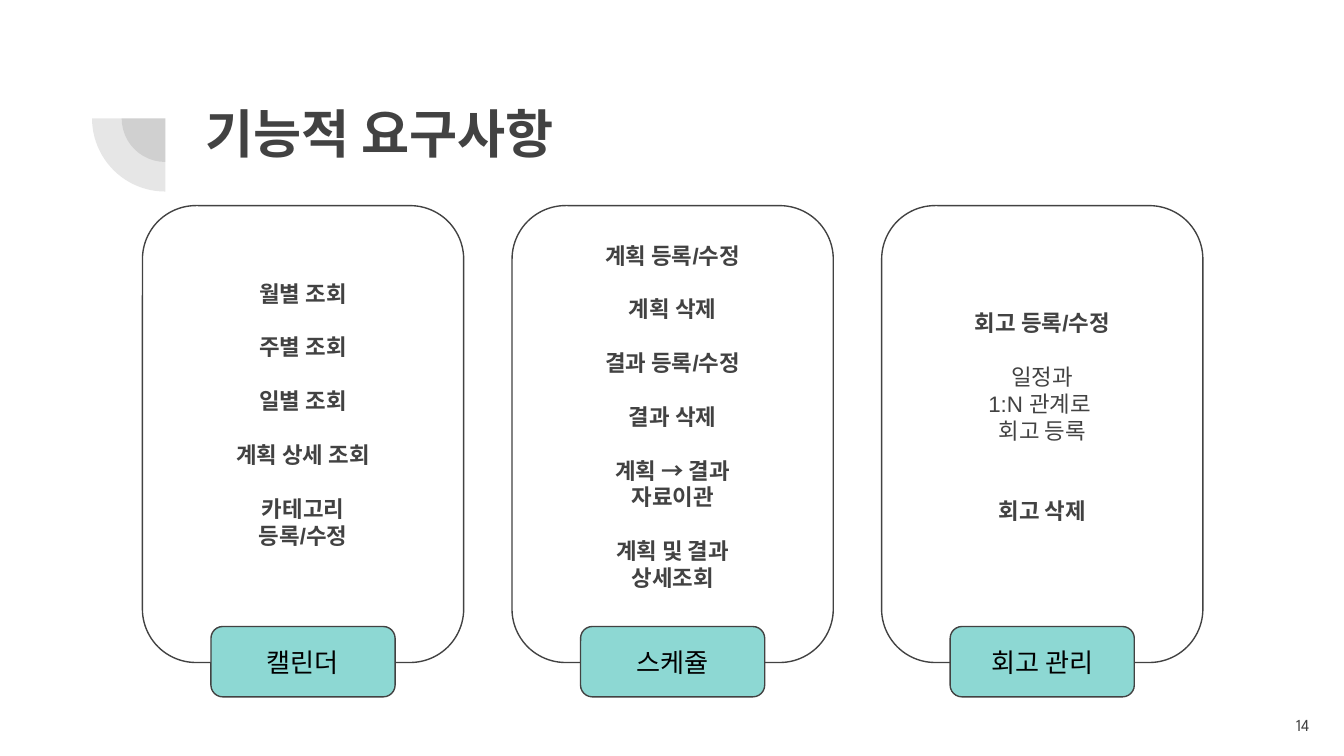
from dataclasses import dataclass
from typing import Optional

from lxml.etree import SubElement
from pptx import Presentation
from pptx.dml.color import RGBColor
from pptx.enum.shapes import MSO_SHAPE as Shp
from pptx.enum.text import MSO_ANCHOR as Anchor, PP_ALIGN as Align
from pptx.oxml.ns import qn
from pptx.util import Inches, Pt

DARK = RGBColor(0x42, 0x42, 0x42)
TEAL = RGBColor(0x8D, 0xD8, 0xD3)
BLACK = RGBColor(0, 0, 0)

WIDTH = Inches(10)
HEIGHT = WIDTH * 9 // 16
INSET = Inches(0.1)
LINE = 14.4
FIRST_CENTER, COL_STEP = 22.55, 27.5


@dataclass(frozen=True)
class Box:
    left: float
    top: float
    width: float
    height: float

    def emu(self) -> list[int]:
        shares = ((self.left, WIDTH), (self.top, HEIGHT),
                  (self.width, WIDTH), (self.height, HEIGHT))
        return [round(full * pct / 100) for pct, full in shares]


@dataclass(frozen=True)
class Item:
    text: str
    gap: int = 1
    bold: bool = True


@dataclass(frozen=True)
class Card:
    label: str
    top: float
    height: float
    items: list[Item]


CARDS = [
    Card("캘린더", 35.24, 43.02, [
        Item("월별 조회", 0), Item("주별 조회"), Item("일별 조회"),
        Item("계획 상세 조회"), Item("카테고리 등록/수정")]),
    Card("스케쥴", 30.2, 50.31, [
        Item("계획 등록/수정", 0), Item("계획 삭제"), Item("결과 등록/수정"),
        Item("결과 삭제"), Item("계획 → 결과 자료이관"),
        Item("계획 및 결과 상세조회")]),
    Card("회고 관리", 39.12, 32.36, [
        Item("회고 등록/수정", 0), Item("일정과", 1, False),
        Item("1:N 관계로 ", 0, False), Item("회고 등록", 0, False),
        Item("회고 삭제", 2)]),
]


def write(s, items: list[Item], font: dict, align=Align.CENTER,
          anchor=Anchor.TOP) -> None:
    tf = s.text_frame
    frame = dict(word_wrap=True, vertical_anchor=anchor, margin_left=INSET,
                 margin_right=INSET, margin_top=INSET, margin_bottom=INSET)
    for name, value in frame.items():
        setattr(tf, name, value)
    for i, item in enumerate(items):
        p = tf.add_paragraph() if i else tf.paragraphs[0]
        p.alignment = align
        if item.gap:
            p.space_before = Pt(LINE * item.gap)
        r = p.add_run()
        r.text = item.text
        fmt = dict(name=font["name"], size=Pt(font["size"]), bold=item.bold)
        for name, value in fmt.items():
            setattr(r.font, name, value)
        r.font.color.rgb = font["color"]


def add_text(sp, box: Box, items: list[Item], font: dict, **place) -> None:
    write(sp.add_textbox(*box.emu()), items, font, **place)


def add_round(sp, box: Box, fill: Optional[RGBColor] = None):
    s = sp.add_shape(Shp.ROUNDED_RECTANGLE, *box.emu())
    s.shadow.inherit = False
    if fill is None:
        s.fill.background()
    else:
        s.fill.solid()
        s.fill.fore_color.rgb = fill
    s.line.color.rgb = DARK
    s.line.width = Pt(0.75)
    return s


def add_quarter(sp, diameter: float) -> None:
    center_x, center_y = Inches(1.23), Inches(0.88)
    d = Inches(diameter)
    s = sp.add_shape(Shp.PIE, center_x - d // 2, center_y - d // 2, d, d)
    s.rotation = 270
    s.adjustments[0], s.adjustments[1] = 108, 162
    s.shadow.inherit = False
    s.line.fill.background()
    s.fill.solid()
    s.fill.fore_color.rgb = DARK
    clr = s.fill._xPr.find(qn("a:solidFill"))[0]
    SubElement(clr, qn("a:alpha")).set("val", "13000")


def add_card(sp, col: int, card: Card) -> None:
    center = FIRST_CENTER + COL_STEP * col

    def centered(top: float, width: float, height: float) -> Box:
        return Box(center - width / 2, top, width, height)

    add_round(sp, centered(27.2, 23.9, 60.44))
    tag = add_round(sp, centered(82.88, 13.7, 9.3), TEAL)
    write(tag, [Item(card.label, 0, False)],
          dict(name="Arial", size=14, color=BLACK), anchor=Anchor.MIDDLE)
    add_text(sp, centered(card.top, 14.1, card.height), card.items,
             dict(name="Arial", size=12, color=DARK))


def main() -> None:
    prs = Presentation()
    prs.slide_width, prs.slide_height = WIDTH, HEIGHT
    sp = prs.slides.add_slide(prs.slide_layouts[6]).shapes
    for diameter in (0.65, 1.09):
        add_quarter(sp, diameter)
    add_text(sp, Box(14.3, 11.56, 76.9, 19.38), [Item("기능적 요구사항", 0)],
             dict(name="Calibri", size=28, color=DARK), align=Align.LEFT)
    add_text(sp, Box(92.4, 92.1, 6, 7.64), [Item("14", 0, False)],
             dict(name="League Spartan", size=9, color=DARK),
             align=Align.RIGHT, anchor=Anchor.MIDDLE)
    for col, card in enumerate(CARDS):
        add_card(sp, col, card)
    prs.save("out.pptx")


if __name__ == "__main__":
    main()
